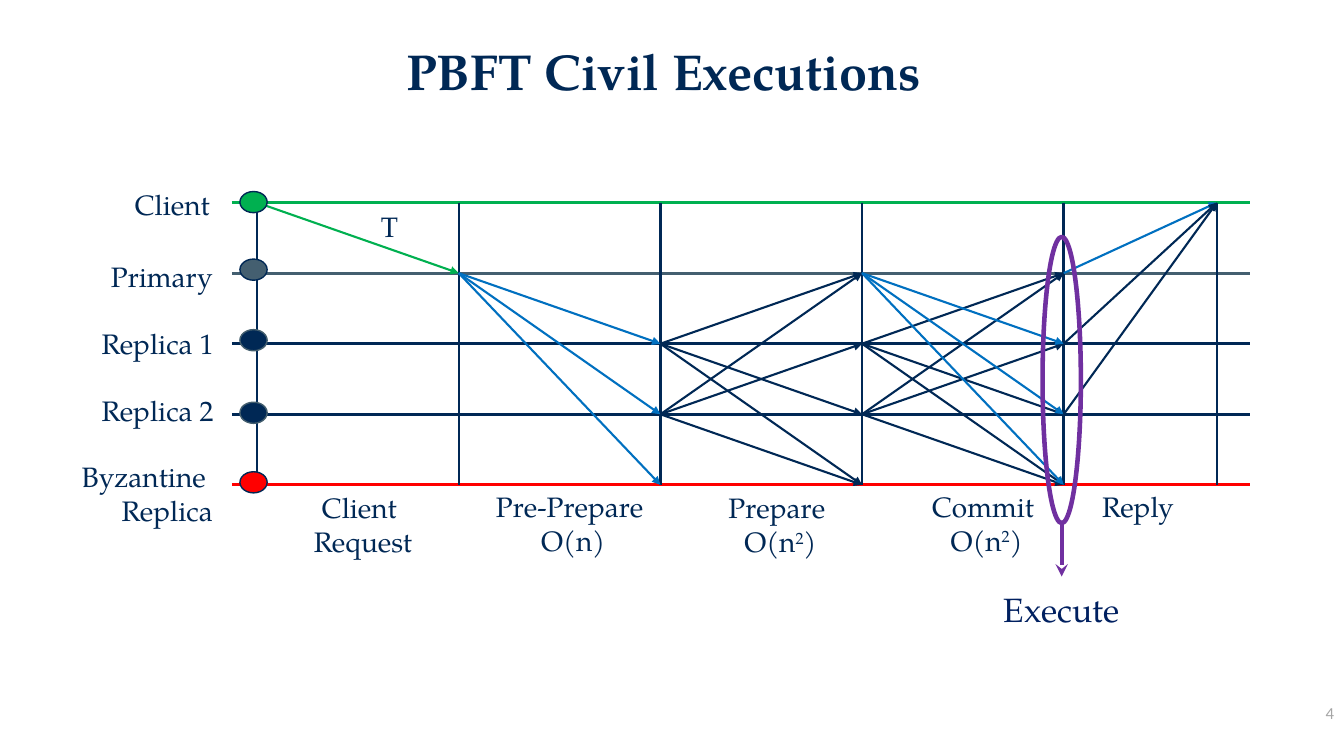
from pptx import Presentation
from pptx.dml.color import RGBColor
from pptx.enum.shapes import MSO_CONNECTOR, MSO_SHAPE
from pptx.enum.text import MSO_ANCHOR, MSO_AUTO_SIZE, PP_ALIGN
from pptx.oxml.ns import qn
from pptx.util import Inches, Pt
from lxml import etree

LEFT, CENTER, RIGHT = PP_ALIGN.LEFT, PP_ALIGN.CENTER, PP_ALIGN.RIGHT
TOP, MIDDLE = MSO_ANCHOR.TOP, MSO_ANCHOR.MIDDLE


class Theme:
    serif, sans = "TeX Gyre Pagella", "Calibri"
    navy, slate, green, red = "002855", "445F70", "00B050", "FF0000"
    blue, purple, gray = "0070C0", "7030A0", "A6A6A6"
    execute, rim = "002060", "435E6E"
    title_size, execute_size, label_size, number_size = 36, 24, 20, 12
    lane_width, phase_width, message_width = 2.25, 1.75, 1.5


# Content: lanes are (lines, label box, colour, dot top, dot outline)
TITLE = "PBFT Civil Executions"
LANES = [
    (["Client"], (1.23, 1.81, 0.95, 0.44), Theme.green, 1.9, Theme.navy),
    (["Primary"], (0.99, 2.53, 1.22, 0.44), Theme.slate, 2.57, Theme.navy),
    (["Replica 1"], (0.89, 3.19, 1.33, 0.44), Theme.navy, 3.27, Theme.rim),
    (["Replica 2"], (0.89, 3.85, 1.33, 0.44), Theme.navy, 3.99, Theme.rim),
    (["Byzantine ", "Replica"], (0.7, 4.51, 1.51, 0.77), Theme.red, 4.68, Theme.navy),
]
# A tuple holds base text, superscript, base text
SQUARE = ("O(n", "2", ")")
PHASES = [
    (["Client ", "Request"], (3, 4.82, 1.2, 0.77), CENTER),
    (["Pre-Prepare ", "O(n)"], (4.81, 4.81, 1.75, 0.77), CENTER),
    (["Prepare ", SQUARE], (7.12, 4.82, 1.24, 0.77), CENTER),
    (["Commit ", SQUARE], (9.14, 4.81, 1.29, 0.77), CENTER),
    (["Reply"], (10.81, 4.81, 0.93, 0.44), RIGHT),
    (["T"], (3.68, 2.03, 0.37, 0.44), LEFT),
]
# Messages: (phase, sending lane, receiving lanes, colour)
CLIENT, PRIMARY, REPLICA_1, REPLICA_2, BYZANTINE = range(5)
MESSAGES = [
    (0, CLIENT, [PRIMARY], Theme.green),
    (1, PRIMARY, [REPLICA_1, REPLICA_2, BYZANTINE], Theme.blue),
    (2, REPLICA_1, [PRIMARY, REPLICA_2, BYZANTINE], Theme.navy),
    (2, REPLICA_2, [PRIMARY, REPLICA_1, BYZANTINE], Theme.navy),
    (3, REPLICA_1, [PRIMARY, REPLICA_2, BYZANTINE], Theme.navy),
    (3, REPLICA_2, [PRIMARY, REPLICA_1, BYZANTINE], Theme.navy),
    (3, PRIMARY, [REPLICA_1, REPLICA_2, BYZANTINE], Theme.blue),
    (4, PRIMARY, [CLIENT], Theme.blue),
    (4, REPLICA_1, [CLIENT], Theme.navy),
    (4, REPLICA_2, [CLIENT], Theme.navy),
]

# Grid
LANE_Y = [2.01 + 0.7 * row for row in range(len(LANES))]
PHASE_X = [2.55 + 2 * column for column in range(5)] + [12.07]
LANE_LEFT, LANE_RIGHT = 2.3, 12.4
DOT_LEFT, DOT_WIDTH, DOT_HEIGHT = 2.38, 0.27, 0.21


def color(value):
    return RGBColor.from_string(value)


def add_line(shapes, start, end, tint, width, head=None):
    ends = [Inches(value) for value in (*start, *end)]
    line = shapes.add_connector(MSO_CONNECTOR.STRAIGHT, *ends)
    line.line.color.rgb = color(tint)
    line.line.width = Pt(width)
    properties = line._element.spPr
    if head:
        outline = properties.find(qn("a:ln"))
        etree.SubElement(outline, qn("a:tailEnd"), type=head)
    etree.SubElement(properties, qn("a:effectLst"))


def add_ellipse(shapes, place, fill, outline, width):
    oval = shapes.add_shape(MSO_SHAPE.OVAL, *[Inches(value) for value in place])
    oval.shadow.inherit = False
    if fill:
        oval.fill.solid()
        oval.fill.fore_color.rgb = color(fill)
    else:
        oval.fill.background()
    oval.line.color.rgb = color(outline)
    oval.line.width = Pt(width)


def style(para, align, size, tint, face=Theme.serif, bold=False, spacing=None):
    para.alignment = align
    if spacing:
        para.line_spacing = spacing
    para.font.name = face
    para.font.size = Pt(size)
    para.font.bold = bold
    para.font.color.rgb = color(tint)


def add_text(shapes, lines, place, align, size=Theme.label_size, tint=Theme.navy,
             face=Theme.serif, anchor=TOP, wrap=False, spacing=None):
    box = shapes.add_textbox(*[Inches(value) for value in place])
    frame = box.text_frame
    frame.word_wrap = wrap
    frame.auto_size = MSO_AUTO_SIZE.NONE if wrap else MSO_AUTO_SIZE.SHAPE_TO_FIT_TEXT
    frame.vertical_anchor = anchor
    for index, line in enumerate(lines):
        para = frame.add_paragraph() if index else frame.paragraphs[0]
        for position, text in enumerate(line if isinstance(line, tuple) else (line,)):
            span = para.add_run()
            span.text = text
            if position == 1:
                span._r.get_or_add_rPr().set("baseline", "30000")
        style(para, align, size, tint, face, spacing=spacing)


deck = Presentation()
deck.slide_width, deck.slide_height = Inches(13.33), Inches(7.5)
page = deck.slides.add_slide(deck.slide_layouts[5])
shapes = page.shapes

# Title
title = shapes.title
title.left, title.top, title.width, title.height = map(Inches, (0.58, 0.25, 12, 0.78))
title.text_frame.text = TITLE
title.text_frame.auto_size = MSO_AUTO_SIZE.NONE
title.text_frame.vertical_anchor = MIDDLE
style(title.text_frame.paragraphs[0], CENTER, Theme.title_size, Theme.navy,
      bold=True, spacing=1.2)

# Lanes and their names
for y, (lines, place, tint, dot_top, rim) in zip(LANE_Y, LANES):
    add_line(shapes, (LANE_LEFT, y), (LANE_RIGHT, y), tint, Theme.lane_width)
    add_text(shapes, lines, place, RIGHT)

# Phase borders and names
for x in PHASE_X:
    add_line(shapes, (x, LANE_Y[0]), (x, LANE_Y[-1]), Theme.navy, Theme.phase_width)
for lines, place, align in PHASES:
    add_text(shapes, lines, place, align)

# Messages between lanes
for phase, sender, receivers, tint in MESSAGES:
    for receiver in receivers:
        add_line(shapes, (PHASE_X[phase], LANE_Y[sender]),
                 (PHASE_X[phase + 1], LANE_Y[receiver]),
                 tint, Theme.message_width, "triangle")

# Lane dots
for lines, place, tint, dot_top, rim in LANES:
    add_ellipse(shapes, (DOT_LEFT, dot_top, DOT_WIDTH, DOT_HEIGHT), tint, rim, 1)

# Execution mark
mark = shapes.add_group_shape().shapes
add_ellipse(mark, (10.34, 2.35, 0.38, 2.84), None, Theme.purple, 3.25)
add_line(mark, (10.53, 5.19), (10.53, 5.72), Theme.purple, 3, "stealth")
add_text(mark, ["Execute"], (9.68, 5.73, 1.7, 0.55), CENTER, Theme.execute_size,
         Theme.execute, anchor=MIDDLE, wrap=True, spacing=1.2)

# Page number
add_text(shapes, ["4"], (11.63, 6.87, 1.7, 0.4), RIGHT, Theme.number_size,
         Theme.gray, Theme.sans, MIDDLE, wrap=True)

deck.save("out.pptx")
